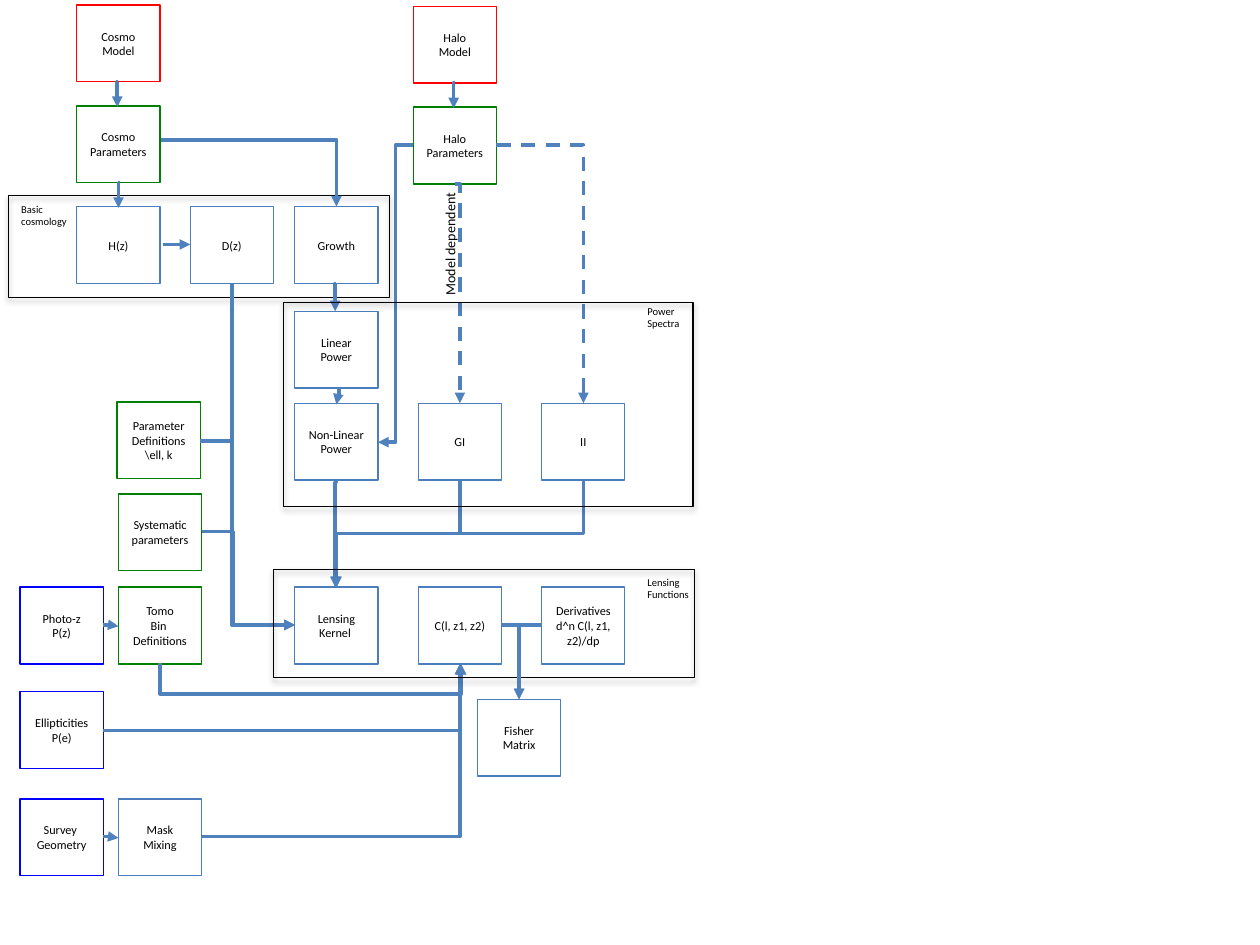
import dataclasses
import lxml.etree
import pptx
import pptx.dml.color
import pptx.enum.dml
import pptx.enum.shapes
import pptx.enum.text
import pptx.oxml.ns
import pptx.util

Inches = pptx.util.Inches
Pt = pptx.util.Pt
qn = pptx.oxml.ns.qn


@dataclasses.dataclass(frozen=True)
class Theme:
    font: str = "Calibri"
    text: str = "000000"
    frame: str = "000000"
    model: str = "FF0000"
    param: str = "008000"
    data: str = "0000FF"
    step: str = "4B7EBC"
    link: str = "4F81BD"
    body: float = 7
    label: float = 6
    note: float = 8
    edge: float = 0.75


THEME = Theme()
WIDE, HIGH = 0.66, 0.61


# Basic parts
def color(code):
    return pptx.dml.color.RGBColor.from_string(code)


def write(frame, lines, size, align=None):
    for i, line in enumerate(lines):
        para = frame.paragraphs[0] if i == 0 else frame.add_paragraph()
        para.alignment = align
        run = para.add_run()
        run.text = line
        run.font.size = Pt(size)
        run.font.name = THEME.font
        run.font.color.rgb = color(THEME.text)


def outline(slide, box, code):
    shape = slide.shapes.add_shape(
        pptx.enum.shapes.MSO_SHAPE.RECTANGLE, *map(Inches, box))
    shape.shadow.inherit = False
    shape.fill.background()
    shape.line.color.rgb = color(code)
    shape.line.width = Pt(THEME.edge)
    return shape


def node(slide, left, top, lines, code=THEME.step):
    shape = outline(slide, (left, top, WIDE, HIGH), code)
    shape.text_frame.vertical_anchor = pptx.enum.text.MSO_ANCHOR.MIDDLE
    write(shape.text_frame, lines, THEME.body, pptx.enum.text.PP_ALIGN.CENTER)


def note(slide, box, lines, size, turn=0):
    shape = slide.shapes.add_textbox(*map(Inches, box))
    shape.rotation = turn
    shape.text_frame.word_wrap = False
    shape.text_frame.auto_size = pptx.enum.text.MSO_AUTO_SIZE.SHAPE_TO_FIT_TEXT
    write(shape.text_frame, lines, size)


def frame(slide, box):
    shape = outline(slide, box, THEME.frame)
    effects = shape.element.spPr.find(qn("a:effectLst"))
    shade = lxml.etree.SubElement(
        effects, qn("a:outerShdw"), blurRad="40000", dist="23000",
        dir="5400000", rotWithShape="0")
    tint = lxml.etree.SubElement(shade, qn("a:srgbClr"), val=THEME.frame)
    lxml.etree.SubElement(tint, qn("a:alpha"), val="35000")


def link(slide, start, end, route, bend=0.5, dash=False):
    """Route names the legs: H or V for three legs, HV or VH for two."""
    (x1, y1), (x2, y2) = start, end
    turned = route[0] == "V"
    if turned:
        # A quarter turn swaps the two spans around the same centre
        mid_x, mid_y = (x1 + x2) / 2, (y1 + y2) / 2
        half_w, half_h = (y2 - y1) / 2, (x1 - x2) / 2
        x1, x2 = mid_x - half_w, mid_x + half_w
        y1, y2 = mid_y - half_h, mid_y + half_h
    line = slide.shapes.add_connector(
        pptx.enum.shapes.MSO_CONNECTOR.ELBOW, *map(Inches, (x1, y1, x2, y2)))
    props = line.element.spPr
    if turned:
        props.find(qn("a:xfrm")).set("rot", "5400000")
    shape = props.find(qn("a:prstGeom"))
    if len(route) == 2:
        shape.set("prst", "bentConnector2")
    else:
        lxml.etree.SubElement(
            shape.find(qn("a:avLst")), qn("a:gd"), name="adj1",
            fmla=f"val {round(bend * 100000)}")
    line.line.color.rgb = color(THEME.link)
    line.line.width = Pt(0)
    if dash:
        line.line.dash_style = pptx.enum.dml.MSO_LINE.DASH
    lxml.etree.SubElement(props.find(qn("a:ln")), qn("a:tailEnd"), type="triangle")
    lxml.etree.SubElement(props, qn("a:effectLst"))


# Regions
def model(slide, left, top, name):
    node(slide, left, top, [name, "Model"], THEME.model)
    node(slide, left, top + 0.8, [name, "Parameters"], THEME.param)
    link(slide, (left + 0.33, top + HIGH), (left + 0.32, top + 0.81), "V", 0)


def basics(slide, left, top):
    for x, name in ((0.54, "H(z)"), (1.44, "D(z)"), (2.27, "Growth")):
        node(slide, left + x, top + 0.09, [name])
    link(slide, (left + 1.22, top + 0.39), (left + 1.44, top + 0.39), "H")
    frame(slide, (left, top, 3.02, 0.81))
    note(slide, (left, top + 0.01, 0.57, 0.3), ["Basic ", "cosmology"], THEME.label)


def spectra(slide, left, top):
    node(slide, left + 0.09, top + 0.07, ["Linear Power"])
    for i, name in enumerate(("Non-Linear Power", "GI", "II")):
        node(slide, left + 0.09 + 0.98 * i, top + 0.8, [name])
    link(slide, (left + 0.44, top + 0.67), (left + 0.42, top + 0.81), "V")
    frame(slide, (left, top, 3.25, 1.62))
    note(slide, (left + 2.79, top - 0.03, 0.47, 0.3), ["Power", "Spectra"], THEME.label)


def lensing(slide, left, top):
    names = ("Lensing Kernel ", "C(l, z1, z2)", "Derivatives d^n C(l, z1, z2)/dp")
    for i, name in enumerate(names):
        node(slide, left + 0.17 + 0.98 * i, top + 0.14, [name])
    frame(slide, (left, top, 3.34, 0.86))
    note(slide, (left + 2.87, top, 0.53, 0.3), ["Lensing", "Functions"], THEME.label)


def inputs(slide, left, top):
    for x, y, lines, code in (
            (0.77, 0, ["Parameter", "Definitions", "\\ell, k"], THEME.param),
            (0.78, 0.73, ["Systematic parameters"], THEME.param),
            (0, 1.47, ["Photo-z P(z)"], THEME.data),
            (0.78, 1.47, ["Tomo", "Bin ", "Definitions"], THEME.param),
            (0, 2.3, ["Ellipticities", "P(e)"], THEME.data),
            (0, 3.15, ["Survey ", "Geometry"], THEME.data),
            (0.78, 3.15, ["Mask", "Mixing"], THEME.step)):
        node(slide, left + x, top + y, lines, code)
    for y in (1.77, 3.45):
        link(slide, (left + WIDE, top + y), (left + 0.78, top + y + 0.01), "H")


def fisher(slide, left, top):
    node(slide, left, top, ["Fisher", "Matrix"])
    for x in (0.19, 0.51):
        link(slide, (left + x, top - 0.59), (left + 0.33, top), "HV")


def flows(slide, left, top):
    kernel, side, power = (2.67, 4.66), (2.34, 4.96), (3.65, 5.27)
    for start, end, route, bend, dash in (
            # Cosmology
            ((0.95, 1.45), (0.94, 1.65), "V", 0, False),
            ((1.28, 1.11), (2.67, 1.64), "HV", 0, False),
            ((2.67, 2.25), (2.66, 2.47), "V", 0, False),
            # Lensing kernel
            ((1.84, 2.25), side, "VH", 0, False),
            ((1.59, 3.5), side, "H", 0.34, False),
            ((1.6, 4.22), side, "H", 0.34, False),
            ((2.67, 3.82), (2.66, 4.66), "V", 0.01, False),
            ((3.65, 3.81), kernel, "V", 0.5, False),
            ((4.63, 3.81), kernel, "V", 0.5, False),
            # Lensing power
            ((1.27, 5.26), (3.66, 5.27), "V", 25, False),
            ((0.82, 5.8), power, "HV", 0, False),
            ((1.6, 6.64), power, "HV", 0, False),
            # Halo
            ((3.28, 1.15), (3, 3.51), "H", 0.5, False),
            ((3.61, 1.46), (3.65, 3.2), "V", 0, True),
            ((3.94, 1.15), (4.63, 3.2), "HV", 0, True)):
        link(slide, (left + start[0], top + start[1]),
             (left + end[0], top + end[1]), route, bend, dash)
    note(slide, (left + 3.06, top + 1.81, 1.03, 0.24), ["Model dependent"],
         THEME.note, 270)


# Slide
deck = pptx.Presentation()
deck.slide_width, deck.slide_height = Inches(10), Inches(7.5)
chart = deck.slides.add_slide(deck.slide_layouts[6])
model(chart, 0.61, 0.04, "Cosmo")
model(chart, 3.28, 0.05, "Halo")
basics(chart, 0.07, 1.55)
inputs(chart, 0.16, 3.19)
flows(chart, 0, 0)
spectra(chart, 2.25, 2.4)
lensing(chart, 2.17, 4.52)
fisher(chart, 3.79, 5.55)
deck.save("out.pptx")
